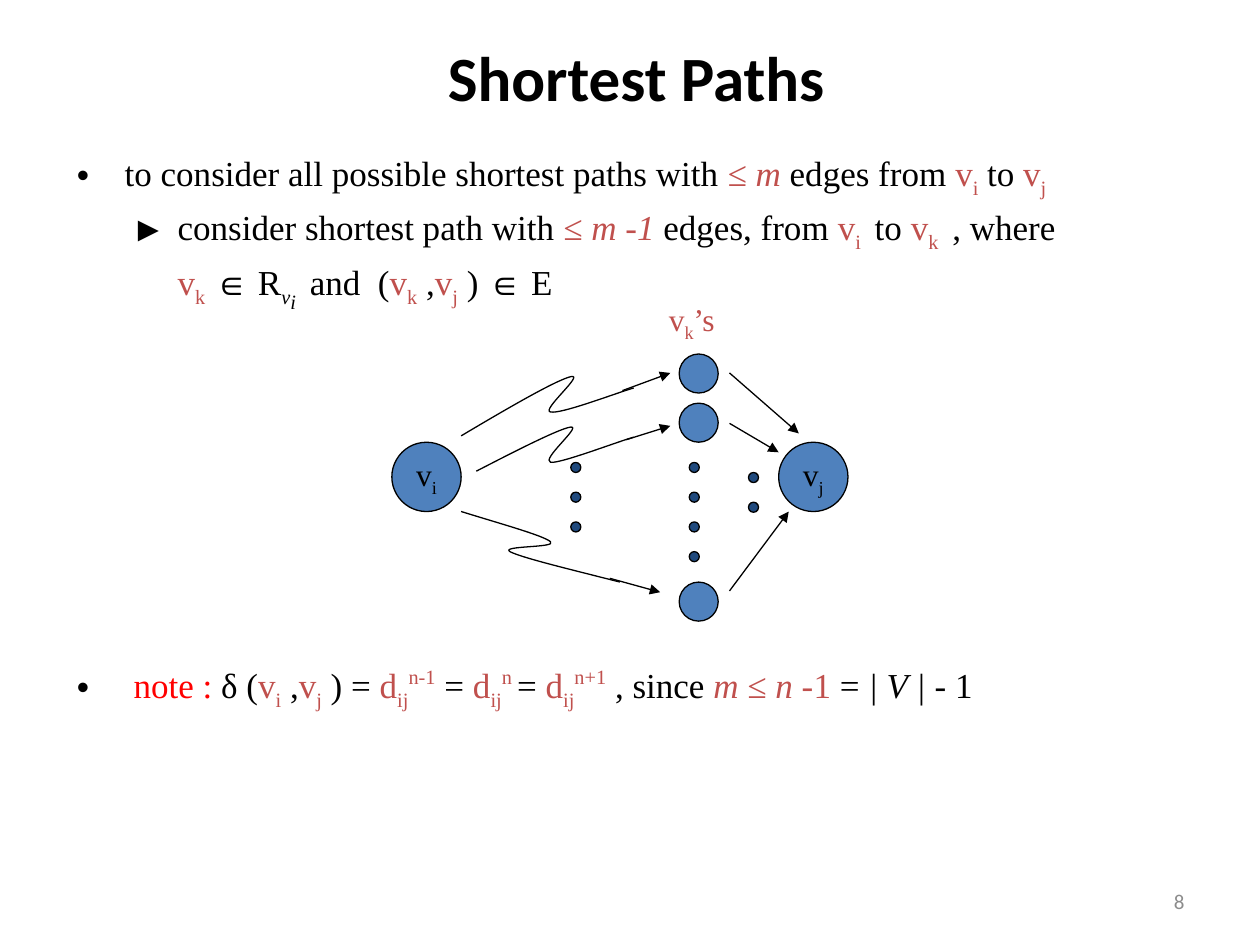
from lxml import etree
from pptx import Presentation
from pptx.dml.color import RGBColor
from pptx.enum.shapes import MSO_CONNECTOR, MSO_SHAPE
from pptx.enum.text import MSO_ANCHOR, MSO_AUTO_SIZE, PP_ALIGN
from pptx.oxml.ns import qn
from pptx.util import Inches, Pt

OVAL = MSO_SHAPE.OVAL
STRAIGHT = MSO_CONNECTOR.STRAIGHT
MIDDLE = MSO_ANCHOR.MIDDLE
FIXED_SIZE = MSO_AUTO_SIZE.NONE
CENTER, RIGHT = PP_ALIGN.CENTER, PP_ALIGN.RIGHT

BLACK = RGBColor(0x00, 0x00, 0x00)
ACCENT = RGBColor(0xC0, 0x50, 0x4D)
RED = RGBColor(0xFF, 0x00, 0x00)
GRAY = RGBColor(0x8C, 0x8C, 0x8C)
NODE_BLUE = RGBColor(0x4F, 0x81, 0xBD)
DOT_BLUE = RGBColor(0x1F, 0x49, 0x7D)

SERIF = "Times New Roman"
LINE_WIDTH = Pt(0.75)
BASELINES = {"_": "-25000", "=": "-40000", "^": "40000"}


def add_runs(paragraph, pieces, size):
    """Style letters: a accent, r red, i italic, b bold, _ and = lowered, ^ raised."""
    for text, style in pieces:
        run = paragraph.add_run()
        run.text = text
        run.font.name = SERIF
        run.font.size = Pt(size)
        run.font.italic = "i" in style
        run.font.bold = "b" in style
        run.font.color.rgb = ACCENT if "a" in style else RED if "r" in style else BLACK
        for mark, baseline in BASELINES.items():
            if mark in style:
                run.font._element.set("baseline", baseline)


def vertex(index):
    return [("v", "a"), (index, "a_")]


presentation = Presentation()
presentation.slide_width = Inches(10)
presentation.slide_height = Inches(7.5)
slide = presentation.slides.add_slide(presentation.slide_layouts[1])

# Title
title = slide.shapes.title
title.left, title.top, title.width, title.height = map(Inches, (0.5, 0.3, 9, 0.61))
title.text_frame.auto_size = FIXED_SIZE
title.text_frame.vertical_anchor = MIDDLE
title.text_frame.margin_left = Inches(0.2)
paragraph = title.text_frame.paragraphs[0]
paragraph.alignment = CENTER
run = paragraph.add_run()
run.text = "Shortest Paths"
run.font.name = "Calibri"
run.font.size = Pt(36)
run.font.bold = True
run.font.color.rgb = BLACK

# List: bullet, left margin, first-line indent, space before, runs
items = [
    ("•", 0.38, -0.38, 0,
     [("to consider all possible shortest paths with ", ""), ("≤ m", "ai"),
      (" edges from ", ""), *vertex("i"), (" to ", ""), *vertex("j")]),
    ("►", 0.8, -0.37, 4,
     [("consider shortest path with ", ""), ("≤ m -1", "ai"), (" edges, from ", ""),
      *vertex("i "), (" to ", ""), *vertex("k "), (" , where", "")]),
    (None, 0.8, 0, 4,
     [*vertex("k"), (" ", ""), ("∈", "b"), (" R", ""), ("v", "i_"), ("i ", "i="),
      (" and ", ""), (" (", ""), *vertex("k"), (" ,", ""), *vertex("j"), (" ) ", ""),
      ("∈", "b"), (" E", "")]),
    ("•", 0.45, -0.45, 200,
     [("note : ", "r"), ("δ (", ""), *vertex("i"), (" ,", ""), *vertex("j"),
      (" ) = ", ""), ("d", "a"), ("ij", "a_"), ("n-1", "a^"), (" = ", ""),
      ("d", "a"), ("ij", "a_"), ("n ", "a^"), ("= ", ""),
      ("d", "a"), ("ij", "a_"), ("n+1", "a^"), (" , since ", ""),
      ("m ≤ n -", "ai"), ("1", "a"), (" = ", ""), ("| V | - ", "i"), ("1", "")]),
]
body = slide.placeholders[1]
body.left, body.top, body.width, body.height = map(Inches, (0.51, 1.15, 9, 5.63))
body.text_frame.auto_size = FIXED_SIZE
body.text_frame.margin_top = Inches(0.05)
for number, (bullet, margin, indent, space, pieces) in enumerate(items):
    paragraph = body.text_frame.add_paragraph() if number else body.text_frame.paragraphs[0]
    paragraph.space_before = Pt(space)
    properties = paragraph._p.get_or_add_pPr()
    properties.set("marL", str(Inches(margin)))
    properties.set("indent", str(Inches(indent)))
    if bullet:
        color = etree.SubElement(properties, qn("a:buClr"))
        etree.SubElement(color, qn("a:srgbClr"), val=str(BLACK))
        etree.SubElement(properties, qn("a:buChar"), char=bullet)
    else:
        etree.SubElement(properties, qn("a:buNone"))
    add_runs(paragraph, pieces, 20)

# Graph: circles given by centre, diameter, fill and label
STEP = 0.236
END_Y, MIDDLE_X = 3.785, 5.545
circles = [(3.385, END_Y, 0.55, NODE_BLUE, "i"), (6.455, END_Y, 0.55, NODE_BLUE, "j")]
circles += [(MIDDLE_X, y, 0.31, NODE_BLUE, None) for y in (2.965, 3.355, 4.775)]
for x, first_y, count in ((4.57, 3.71, 3), (5.51, 3.71, 4), (5.98, 3.79, 2)):
    circles += [(x, first_y + STEP * row, 0.08, DOT_BLUE, None) for row in range(count)]

for x, y, diameter, fill, index in circles:
    circle = slide.shapes.add_shape(
        OVAL, Inches(x - diameter / 2), Inches(y - diameter / 2),
        Inches(diameter), Inches(diameter))
    circle.shadow.inherit = False
    circle.fill.solid()
    circle.fill.fore_color.rgb = fill
    circle.line.color.rgb = BLACK
    circle.line.width = LINE_WIDTH
    if index:
        frame = circle.text_frame
        frame.word_wrap = False
        frame.vertical_anchor = MIDDLE
        frame.paragraphs[0].alignment = CENTER
        add_runs(frame.paragraphs[0], [("v", ""), (index, "_")], 18)

# Wavy paths: a start point, then three Bézier points per curve
waves = [
    [(3.66, 3.46), (4.03, 3.24), (4.41, 3.02), (4.53, 2.99), (4.65, 2.96),
     (4.29, 3.26), (4.37, 3.27), (4.45, 3.29), (4.89, 3.12), (5.03, 3.08)],
    [(3.78, 3.74), (3.9, 3.68), (4.43, 3.4), (4.53, 3.39), (4.62, 3.38),
     (4.29, 3.65), (4.37, 3.67), (4.45, 3.68), (4.89, 3.51), (5.03, 3.47)],
    [(3.66, 4.06), (3.98, 4.16), (4.31, 4.25), (4.37, 4.3), (4.43, 4.35),
     (3.96, 4.33), (4.05, 4.38), (4.15, 4.43), (4.53, 4.52), (4.92, 4.62)],
]
for wave_points in waves:
    start, *points = [(Inches(x), Inches(y)) for x, y in wave_points]
    builder = slide.shapes.build_freeform(*start)
    builder.add_line_segments(points, close=False)
    wave = builder.convert_to_shape()
    wave.shadow.inherit = False
    wave.fill.background()
    wave.line.color.rgb = BLACK
    wave.line.width = LINE_WIDTH
    outline = next(wave._element.iter(qn("a:path")))
    segments = outline.findall(qn("a:lnTo"))
    for first in range(0, len(segments), 3):
        curve = etree.SubElement(outline, qn("a:cubicBezTo"))
        for segment in segments[first:first + 3]:
            curve.append(segment[0])
            outline.remove(segment)

# Arrows
arrows = [
    (4.94, 3.1, 5.32, 2.96), (4.97, 3.49, 5.32, 3.38), (4.84, 4.59, 5.24, 4.7),
    (5.79, 2.96, 6.34, 3.44), (5.79, 3.36, 6.18, 3.59), (5.79, 4.69, 6.26, 4.06),
]
for ends in arrows:
    arrow = slide.shapes.add_connector(STRAIGHT, *map(Inches, ends))
    arrow.line.color.rgb = BLACK
    arrow.line.width = LINE_WIDTH
    etree.SubElement(arrow.line._get_or_add_ln(), qn("a:tailEnd"), type="triangle")
    etree.SubElement(arrow._element.spPr, qn("a:effectLst"))

# Label above the middle vertices
label = slide.shapes.add_textbox(*map(Inches, (5.21, 2.33, 0.73, 0.43)))
label.text_frame.word_wrap = True
add_runs(label.text_frame.paragraphs[0], [*vertex("k"), ("’s", "a")], 18)

# Slide number
page_number = slide.shapes.add_textbox(*map(Inches, (7.17, 6.95, 2.33, 0.4)))
page_number.text_frame.word_wrap = True
page_number.text_frame.vertical_anchor = MIDDLE
paragraph = page_number.text_frame.paragraphs[0]
paragraph.alignment = RIGHT
run = paragraph.add_run()
run.text = "8"
run.font.name = "Calibri"
run.font.size = Pt(12)
run.font.color.rgb = GRAY

presentation.save("out.pptx")
